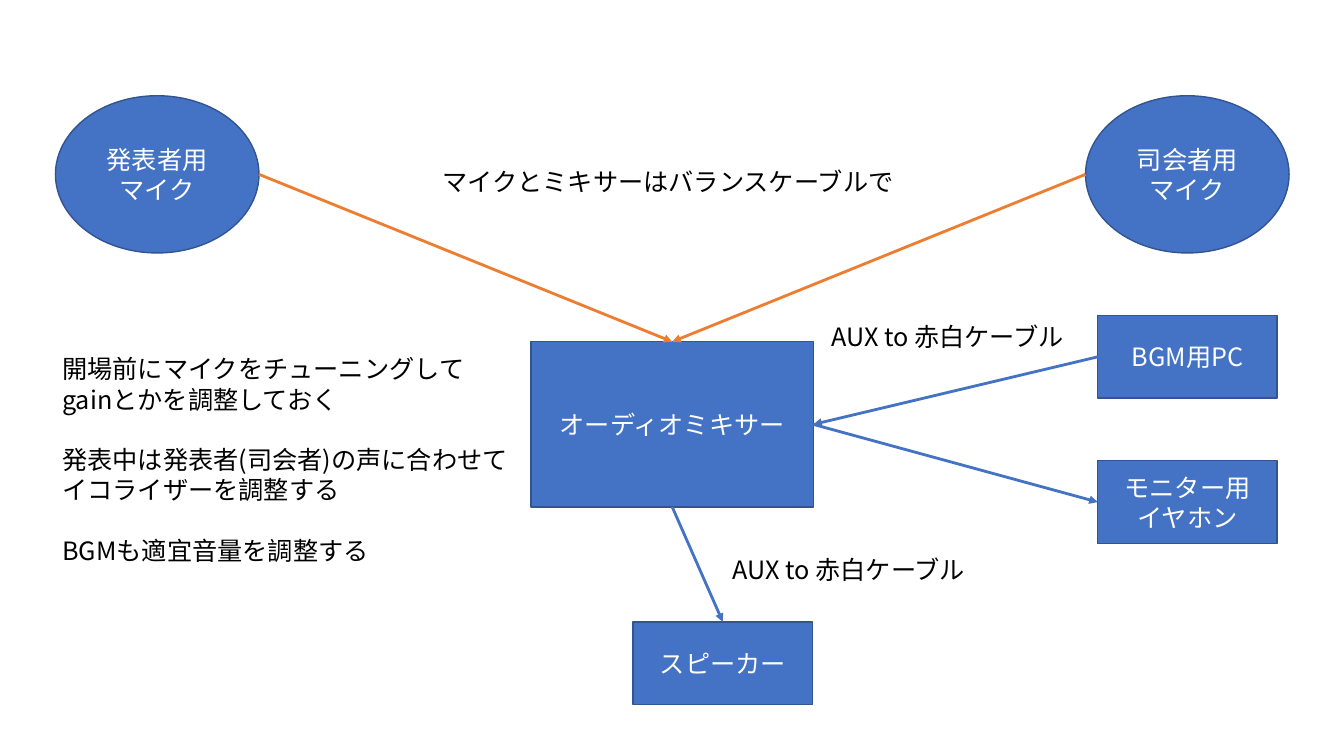
import dataclasses

import lxml.etree
import pptx
import pptx.dml.color
import pptx.enum.shapes
import pptx.enum.text
import pptx.oxml.ns
import pptx.util

Pt = pptx.util.Pt
Color = pptx.dml.color.RGBColor.from_string
Shape = pptx.enum.shapes.MSO_SHAPE
Anchor = pptx.enum.text.MSO_ANCHOR
Align = pptx.enum.text.PP_ALIGN
TOP, LEFT, BOTTOM, RIGHT = range(4)


@dataclasses.dataclass(frozen=True)
class Theme:
    """Colours, type and line widths of the slide."""
    font: str = "Noto Sans CJK JP"
    size: float = 18
    blue: str = "4472C4"
    outline: str = "325491"
    orange: str = "ED7D31"
    light: str = "FFFFFF"
    dark: str = "000000"
    border: float = 1
    cable: float = 2


THEME = Theme()


def add_xml(parent, tag, **attributes):
    """Append a DrawingML element to a parent element."""
    return lxml.etree.SubElement(parent, pptx.oxml.ns.qn(tag), attributes)


def format_text(frame, color, align):
    """Apply the theme font, size, colour and alignment to a text frame."""
    for para in frame.paragraphs:
        para.alignment = align
        for span in para.runs:
            span.font.size = Pt(THEME.size)
            span.font.color.rgb = Color(color)
            span.font.name = THEME.font
            add_xml(span.font._element, "a:ea", typeface=THEME.font)


def add_device(page, kind, text, box):
    """Draw one labelled piece of equipment in the given box."""
    device = page.shapes.add_shape(kind, *map(Pt, box))
    device.shadow.inherit = False
    device.fill.solid()
    device.fill.fore_color.rgb = Color(THEME.blue)
    device.line.color.rgb = Color(THEME.outline)
    device.line.width = Pt(THEME.border)
    frame = device.text_frame
    frame.word_wrap = True
    frame.vertical_anchor = Anchor.MIDDLE
    frame.paragraphs[0].text = text
    format_text(frame, THEME.light, Align.CENTER)
    return device


def add_cable(page, color, start, start_side, end, end_side):
    """Draw an arrow between the sides of two devices."""
    edge = start.left if start_side == LEFT else start.left + start.width
    middle = start.top + start.height // 2
    cable = page.shapes.add_connector(
        pptx.enum.shapes.MSO_CONNECTOR.STRAIGHT, edge, middle, end.left, end.top)
    if start.auto_shape_type == Shape.RECTANGLE:
        cable.begin_connect(start, start_side)
    cable.end_connect(end, end_side)
    cable.line.color.rgb = Color(color)
    cable.line.width = Pt(THEME.cable)
    add_xml(cable.line._get_or_add_ln(), "a:tailEnd", type="triangle")
    add_xml(cable._element.spPr, "a:effectLst")


def add_text(page, paragraphs, box, wrap=False):
    """Write paragraphs in the given box, one blank line's height apart."""
    frame = page.shapes.add_textbox(*map(Pt, box)).text_frame
    frame.word_wrap = wrap
    for index, text in enumerate(paragraphs):
        para = frame.paragraphs[0] if index == 0 else frame.add_paragraph()
        para.text = text
        if index:
            para.space_before = Pt(21.6)
    format_text(frame, THEME.dark, Align.LEFT)


def add_microphones(page, box, mixer):
    """Place the two microphones at the ends of a band and wire them."""
    left, top, width, height = box
    oval_width = 145.4
    microphones = (("発表者用マイク", left, RIGHT),
                   ("司会者用マイク", left + width - oval_width, LEFT))
    for text, x, side in microphones:
        microphone = add_device(page, Shape.OVAL, text, (x, top, oval_width, height))
        add_cable(page, THEME.orange, microphone, side, mixer, TOP)
    add_text(page, ["マイクとミキサーはバランスケーブルで"],
             (left + 269.3, top + 46.8, 342, 29))


def add_outputs(page, box, mixer):
    """Place the computer, earphone and speaker around the mixer."""
    left, top, width, height = box
    small = (128.2, 59)
    column = left + width - small[0]
    computer = add_device(page, Shape.RECTANGLE, "BGM用PC", (column, top, *small))
    speaker = add_device(page, Shape.RECTANGLE, "スピーカー",
                         (left + 72.8, top + height - small[1], *small))
    earphone = add_device(page, Shape.RECTANGLE, "モニター用\nイヤホン",
                          (column, top + 103.7, *small))
    add_cable(page, THEME.blue, mixer, BOTTOM, speaker, TOP)
    add_cable(page, THEME.blue, computer, LEFT, mixer, RIGHT)
    add_cable(page, THEME.blue, mixer, RIGHT, earphone, LEFT)
    for x, y in ((207.4, 0.7), (136.8, 167)):
        add_text(page, ["AUX to 赤白ケーブル"], (left + x, top + y, 187.2, 29))


def add_notes(page, box):
    """Write the operating advice in the given box."""
    add_text(page, ["開場前にマイクをチューニングして\ngainとかを調整しておく",
                    "発表中は発表者(司会者)の声に合わせて\nイコライザーを調整する",
                    "BGMも適宜音量を調整する"], box, wrap=True)


def main():
    """Build and save the audio wiring slide."""
    deck = pptx.Presentation()
    deck.slide_width, deck.slide_height = Pt(960), Pt(540)
    page = deck.slides.add_slide(deck.slide_layouts[6])
    mixer = add_device(page, Shape.RECTANGLE, "オーディオミキサー",
                       (379.4, 244.1, 201.6, 118.1))
    add_microphones(page, (39.6, 68.4, 881.2, 112.3), mixer)
    add_outputs(page, (379.4, 225.4, 532.9, 277.8), mixer)
    add_notes(page, (37.4, 249.1, 337.7, 159.8))
    deck.save("out.pptx")


if __name__ == "__main__":
    main()
